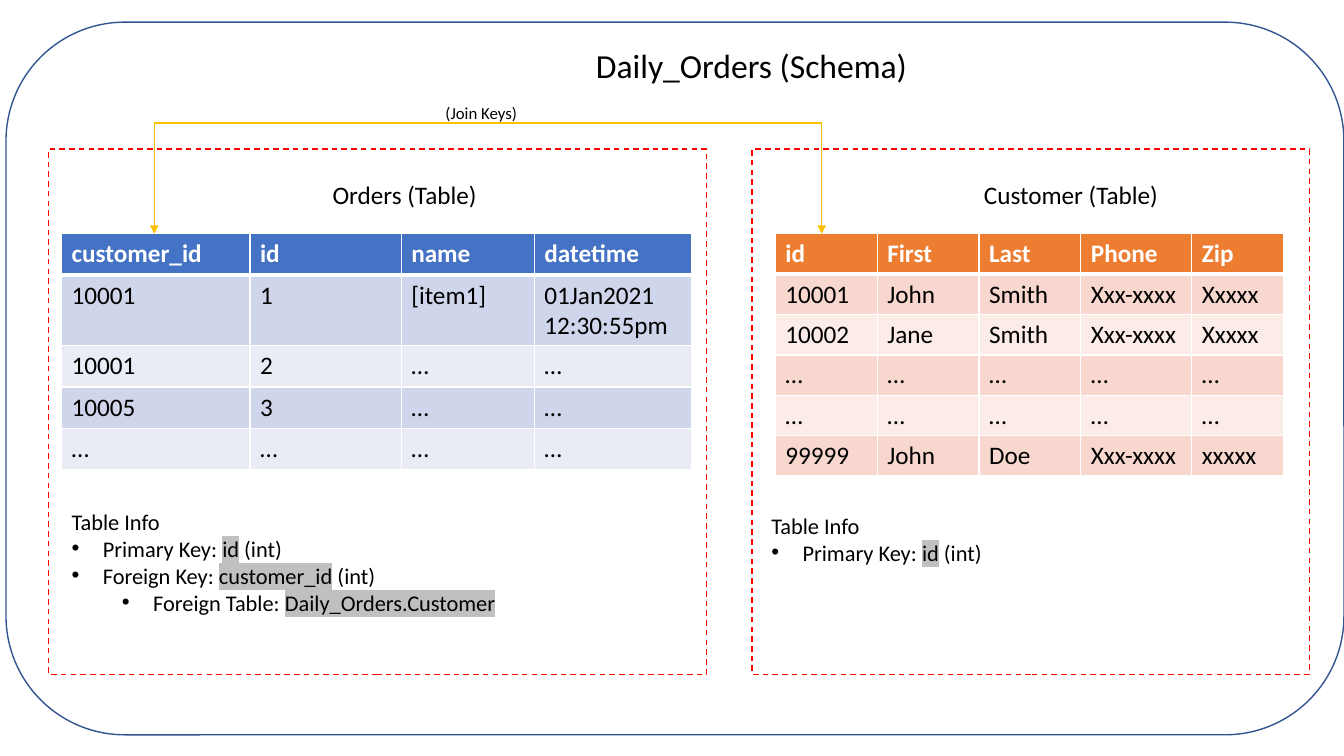
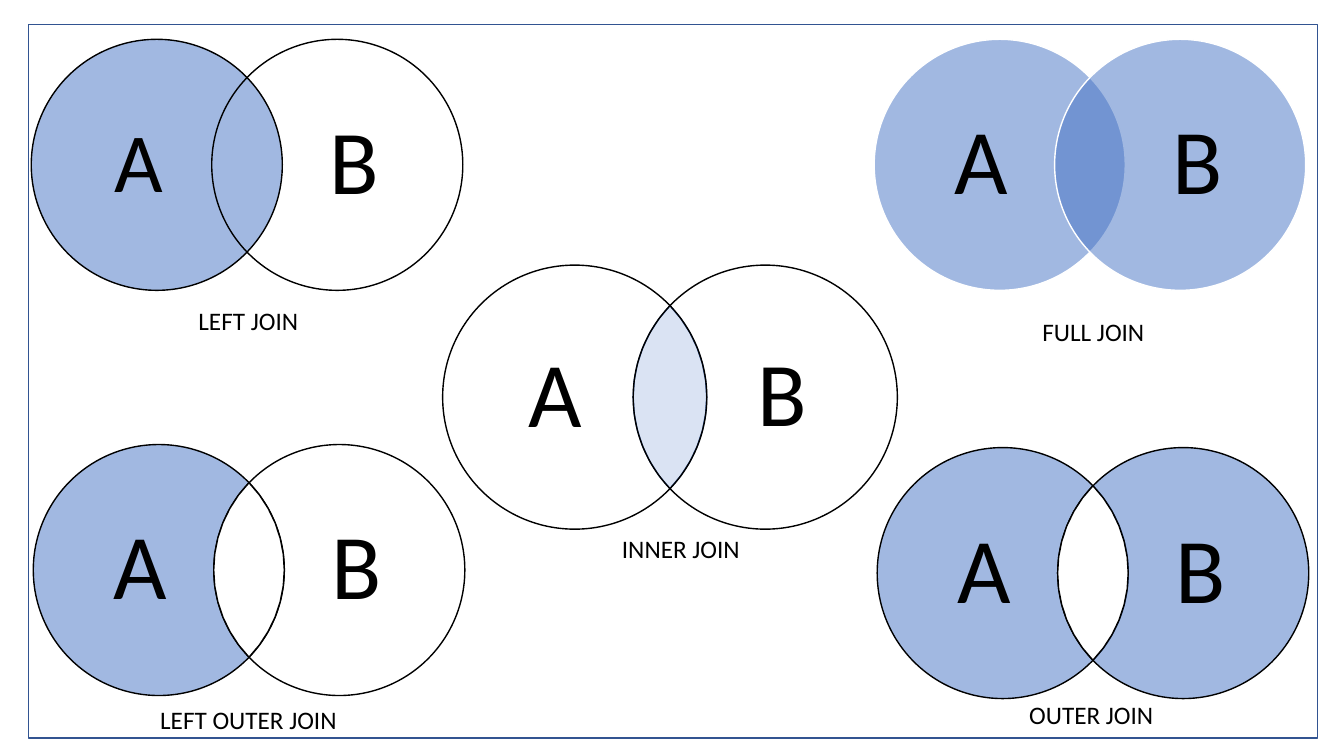
import math
from dataclasses import dataclass

import lxml.etree
import pptx
import pptx.dml.color
import pptx.enum.dml
import pptx.enum.shapes
import pptx.enum.text
import pptx.oxml.ns
import pptx.util

PX = 9144  # EMU in one px, 100 px to the inch
SHAPE = pptx.enum.shapes.MSO_SHAPE
ANCHOR = pptx.enum.text.MSO_ANCHOR
ALIGN = pptx.enum.text.PP_ALIGN
qn = pptx.oxml.ns.qn


@dataclass(frozen=True)
class Theme:
    font: str = "Calibri"
    black: str = "000000"
    white: str = "FFFFFF"
    frame: str = "325491"
    panel: str = "FF0000"
    join: str = "FFC000"
    mark: str = "C0C0C0"
    circle: str = "4472C4"
    lens: str = "DAE3F3"
    orders: tuple = ("4472C4", "CFD5EA", "E9EBF5")  # header, odd, even rows
    customer: tuple = ("ED7D31", "F8D7CE", "FCECE8")
    title: int = 24
    body: int = 18
    info: int = 16
    small: int = 12
    letter: int = 66


T = Theme()


# Shared helpers

def rgb(color):
    return pptx.dml.color.RGBColor.from_string(color)


def emu(*lengths):
    return [round(v * PX) for v in lengths]


def apply(obj, values):
    for name, value in values.items():
        setattr(obj, name, value)


def sub(parent, tag, **attrs):
    return lxml.etree.SubElement(parent, qn(tag), attrs)


def add_run(p, text, size, color=T.black, bold=False, mark=None):
    r = p.add_run()
    r.text = text
    apply(r.font, {"size": pptx.util.Pt(size), "bold": bold, "name": T.font})
    r.font.color.rgb = rgb(color)
    if mark:
        hl = lxml.etree.Element(qn("a:highlight"))
        sub(hl, "a:srgbClr", val=mark)
        r._r.rPr.find(qn("a:latin")).addprevious(hl)


def place(sp, box):
    apply(sp, dict(zip(("left", "top", "width", "height"), emu(*box))))


def paint(sp, line, fill=None, alpha=None, dash=None):
    sp.shadow.inherit = False
    sp.line.color.rgb = rgb(line)
    apply(sp.line, {"width": pptx.util.Pt(1), "dash_style": dash})
    if fill is None:
        sp.fill.background()
        return
    sp.fill.solid()
    sp.fill.fore_color.rgb = rgb(fill)
    if alpha:
        color = sp._element.spPr.find(qn("a:solidFill")).find(qn("a:srgbClr"))
        sub(color, "a:alpha", val=str(alpha * 1000))


def add_outline(shapes, kind, box, line, **look):
    paint(shapes.add_shape(kind, *emu(*box)), line, **look)


def add_text(shapes, box, text, size, wrap=True, inset=None, anchor=ANCHOR.TOP,
             align=ALIGN.LEFT, spacing=None):
    tf = shapes.add_textbox(*emu(*box)).text_frame
    apply(tf, {"word_wrap": wrap, "vertical_anchor": anchor})
    if inset is not None:
        sides = ("left", "top", "right", "bottom")
        apply(tf, {f"margin_{side}": inset for side in sides})
    p = tf.paragraphs[0]
    apply(p, {"alignment": align, "line_spacing": spacing})
    add_run(p, text, size)


# Schema slide

def add_title(s, box, text):
    sp = s.shapes.title
    place(sp, box)
    tf = sp.text_frame
    apply(tf, {"word_wrap": True, "vertical_anchor": ANCHOR.TOP,
               "auto_size": pptx.enum.text.MSO_AUTO_SIZE.NONE})
    tf.paragraphs[0].alignment = ALIGN.LEFT
    add_run(tf.paragraphs[0], text, T.title)


def add_borders(cell, row):
    tcPr = cell._tc.get_or_add_tcPr()
    widths = {"L": 1, "R": 1, "T": 3 if row == 1 else 1, "B": 1 if row else 3}
    for i, (side, width) in enumerate(widths.items()):
        ln = lxml.etree.Element(qn(f"a:ln{side}"), w=str(width * 12700))
        sub(sub(ln, "a:solidFill"), "a:srgbClr", val=T.white)
        tcPr.insert(i, ln)


def add_data_table(s, x, y, widths, heights, rows, colors):
    frame = s.shapes.add_table(len(rows), len(widths),
                               *emu(x, y, sum(widths), sum(heights)))
    tbl = frame.table
    for col, width in zip(tbl.columns, widths):
        col.width = width * PX
    for i, (values, height) in enumerate(zip(rows, heights)):
        tbl.rows[i].height = height * PX
        for j, value in enumerate(values):
            cell = tbl.cell(i, j)
            cell.fill.solid()
            cell.fill.fore_color.rgb = rgb(colors[0 if i == 0 else 2 - i % 2])
            add_borders(cell, i)
            add_run(cell.text_frame.paragraphs[0], value, T.body,
                    T.black if i else T.white, bold=i == 0)


def add_info(sp, box, items):
    """Key list; each item is (level, label, marked name, ending)."""
    place(sp, box)
    tf = sp.text_frame
    apply(tf, {"word_wrap": True, "vertical_anchor": ANCHOR.TOP,
               "auto_size": pptx.enum.text.MSO_AUTO_SIZE.NONE})
    lines = [(None, "Table Info", "", "")] + items
    for i, (level, label, name, ending) in enumerate(lines):
        p = tf.add_paragraph() if i else tf.paragraphs[0]
        apply(p, {"level": level or 0, "space_before": pptx.util.Pt(0)})
        pPr = p._p.get_or_add_pPr()
        if level is None:
            apply_indent = (0, 0)
            sub(pPr, "a:buNone")
        else:
            apply_indent = (31 + 50 * level, -31)
            sub(pPr, "a:buFont", typeface="Arial")
            sub(pPr, "a:buChar", char="•")
        for key, value in zip(("marL", "indent"), apply_indent):
            pPr.set(key, str(value * PX))
        for text, mark in ((label, None), (name, T.mark), (ending, None)):
            if text:
                add_run(p, text, T.info, mark=mark)


def add_panel(s, box, heading, heading_x, table_x, table, info, info_at, items):
    x, y, w, h = box
    add_outline(s.shapes, SHAPE.RECTANGLE, box, T.panel,
                dash=pptx.enum.dml.MSO_LINE.DASH)
    add_text(s.shapes, (x + heading_x, y + 25, 195, 40), heading, T.body)
    add_data_table(s, x + table_x, y + 84, **table)
    dx, dy = info_at
    add_info(info, (x + dx, y + dy, w - 2 * dx, h - dy), items)


def add_join(s, left, right, top, bottom):
    """Bracket with an arrow down to each joined column."""
    for x1, y1, x2, y2 in ((left, top, left, bottom), (right, top, right, bottom),
                           (left, top, right, top)):
        cx = s.shapes.add_connector(pptx.enum.shapes.MSO_CONNECTOR.STRAIGHT,
                                    *emu(x1, y1, x2, y2))
        cx.line.color.rgb = rgb(T.join)
        cx.line.width = pptx.util.Pt(1)
        spPr = cx._element.spPr
        if x1 == x2:
            sub(spPr.find(qn("a:ln")), "a:tailEnd", type="triangle")
        sub(spPr, "a:effectLst")
    add_text(s.shapes, (432, 97, 137, 30), "(Join Keys)", T.small)


def schema_slide(prs):
    s = prs.slides.add_slide(prs.slide_layouts[3])
    orders_info, customer_info = list(s.placeholders)[1:]
    add_outline(s.shapes, SHAPE.ROUNDED_RECTANGLE, (6, 22, 1327, 707), T.frame)
    add_title(s, (581, 40, 349, 50), "Daily_Orders (Schema)")
    more = "…"
    orders = {
        "widths": [187, 150, 132, 156], "heights": [41, 70, 41, 41, 41],
        "colors": T.orders,
        "rows": [["customer_id", "id", "name", "datetime"],
                 ["10001", "1", "[item1]", "01Jan2021 12:30:55pm"],
                 ["10001", "2", more, more],
                 ["10005", "3", more, more],
                 [more] * 4]}
    customer = {
        "widths": [101, 101, 101, 110, 91], "heights": [40] * 6,
        "colors": T.customer,
        "rows": [["id", "First", "Last", "Phone", "Zip"],
                 ["10001", "John", "Smith", "Xxx-xxxx", "Xxxxx"],
                 ["10002", "Jane", "Smith", "Xxx-xxxx", "Xxxxx"],
                 [more] * 5,
                 [more] * 5,
                 ["99999", "John", "Doe", "Xxx-xxxx", "xxxxx"]]}
    primary = (0, "Primary Key: ", "id", " (int)")
    add_panel(s, (48, 148, 653, 521), "Orders (Table)", 272, 13, orders,
              orders_info, (13, 351),
              [primary, (0, "Foreign Key: ", "customer_id", " (int)"),
               (1, "Foreign Table: ", "Daily_Orders.Customer", "")])
    add_panel(s, (746, 148, 553, 521), "Customer (Table)", 220, 23, customer,
              customer_info, (9, 355), [primary])
    add_join(s, 153, 815, 122, 232)


# Joins slide

def add_lens(shapes, x, y, d, step, line, fill):
    """Overlap of two circles of diameter d set step apart."""
    r, half = d / 2, math.acos(step / d)
    arcs = ((x + r, 0), (x + step + r, math.pi))
    points = [emu(cx + r * math.cos(start + half * k / 6),
                  y + r + r * math.sin(start + half * k / 6))
              for cx, start in arcs for k in range(-6, 7)]
    fb = shapes.build_freeform(*points[0], scale=1.0)
    fb.add_line_segments(points[1:], close=True)
    paint(fb.convert_to_shape(), line, fill=fill)


def add_venn(s, x, y, d, label, label_at, fills=(None, None), line=T.black,
             sizes=(T.letter, T.letter), under=None, over=None):
    shapes = s.shapes.add_group_shape().shapes
    step = round(0.72 * d)
    if under:
        add_lens(shapes, x, y, d, step, T.frame, under)
    for i, letter in enumerate("AB"):
        left = x + i * step
        add_outline(shapes, SHAPE.OVAL, (left, y, d, d), line,
                    fill=fills[i], alpha=50)
        inner = left + round((0.14, 0.28)[i] * d)
        add_text(shapes, (inner, y + 30, round(0.574 * d), d - 60), letter,
                 sizes[i], inset=0, anchor=ANCHOR.MIDDLE, align=ALIGN.CENTER,
                 spacing=0.9)
    if over:
        add_lens(shapes, x, y, d, step, T.black, over)
    add_text(s.shapes, (*label_at, 40), label, T.body, wrap=False)


def joins_slide(prs):
    s = prs.slides.add_slide(prs.slide_layouts[6])
    add_outline(s.shapes, SHAPE.RECTANGLE, (28, 24, 1279, 708), T.frame)
    left, both = (T.circle, None), (T.circle, T.circle)
    add_venn(s, 31, 39, 249, "LEFT JOIN", (187, 298, 120), left, sizes=(60, 65))
    add_venn(s, 439, 263, 262, "INNER JOIN", (607, 524, 138), sizes=(66, 65),
             under=T.lens)
    add_venn(s, 867, 39, 249, "FULL JOIN", (1024, 309, 122), both, line=T.white)
    add_venn(s, 33, 441, 249, "LEFT OUTER JOIN", (149, 694, 197), left,
             over=T.white)
    add_venn(s, 870, 444, 249, "OUTER JOIN", (1011, 689, 144), both,
             over=T.white)


def main():
    prs = pptx.Presentation()
    apply(prs, dict(zip(("slide_width", "slide_height"), emu(1333, 750))))
    schema_slide(prs)
    joins_slide(prs)
    prs.save("out.pptx")


if __name__ == "__main__":
    main()
